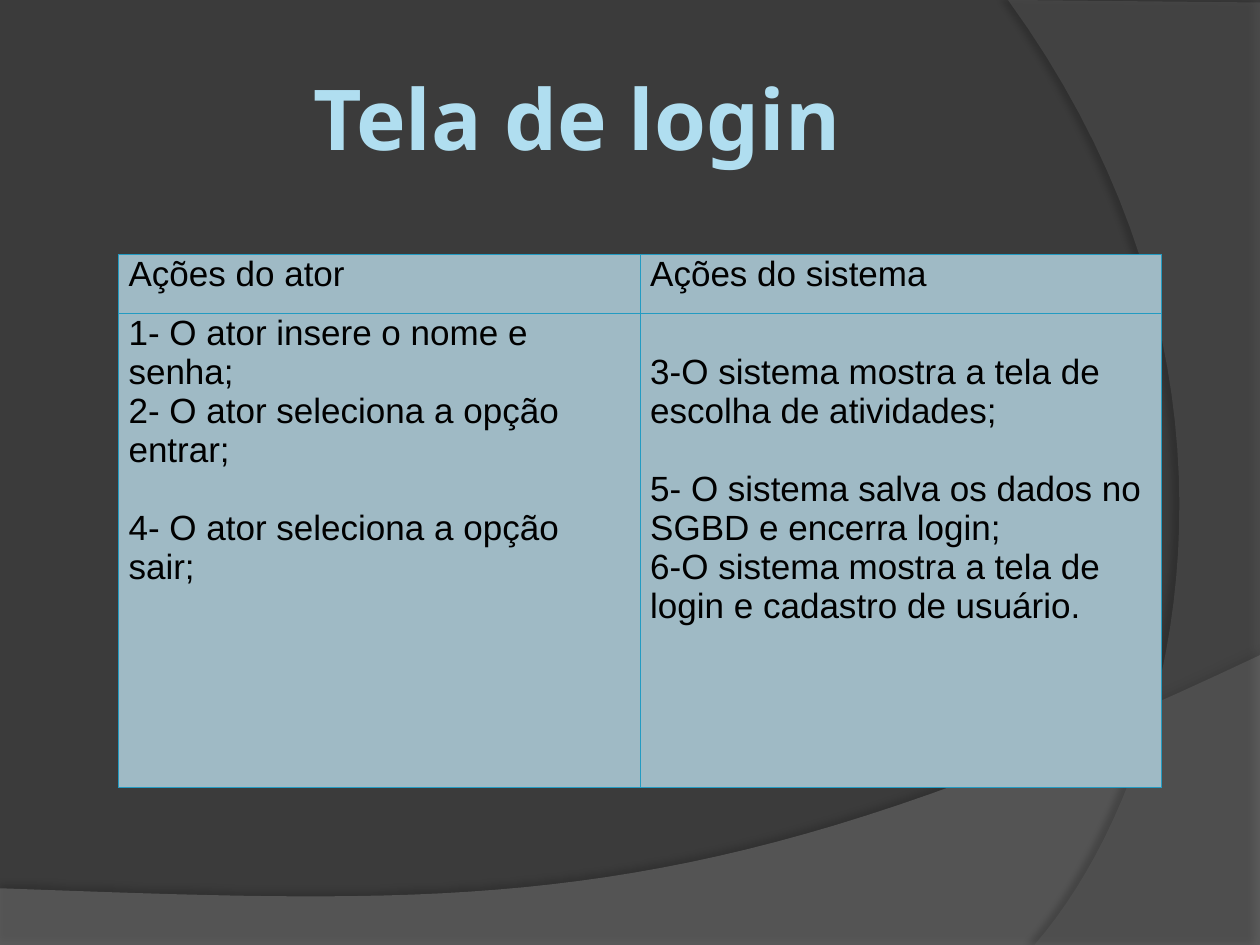
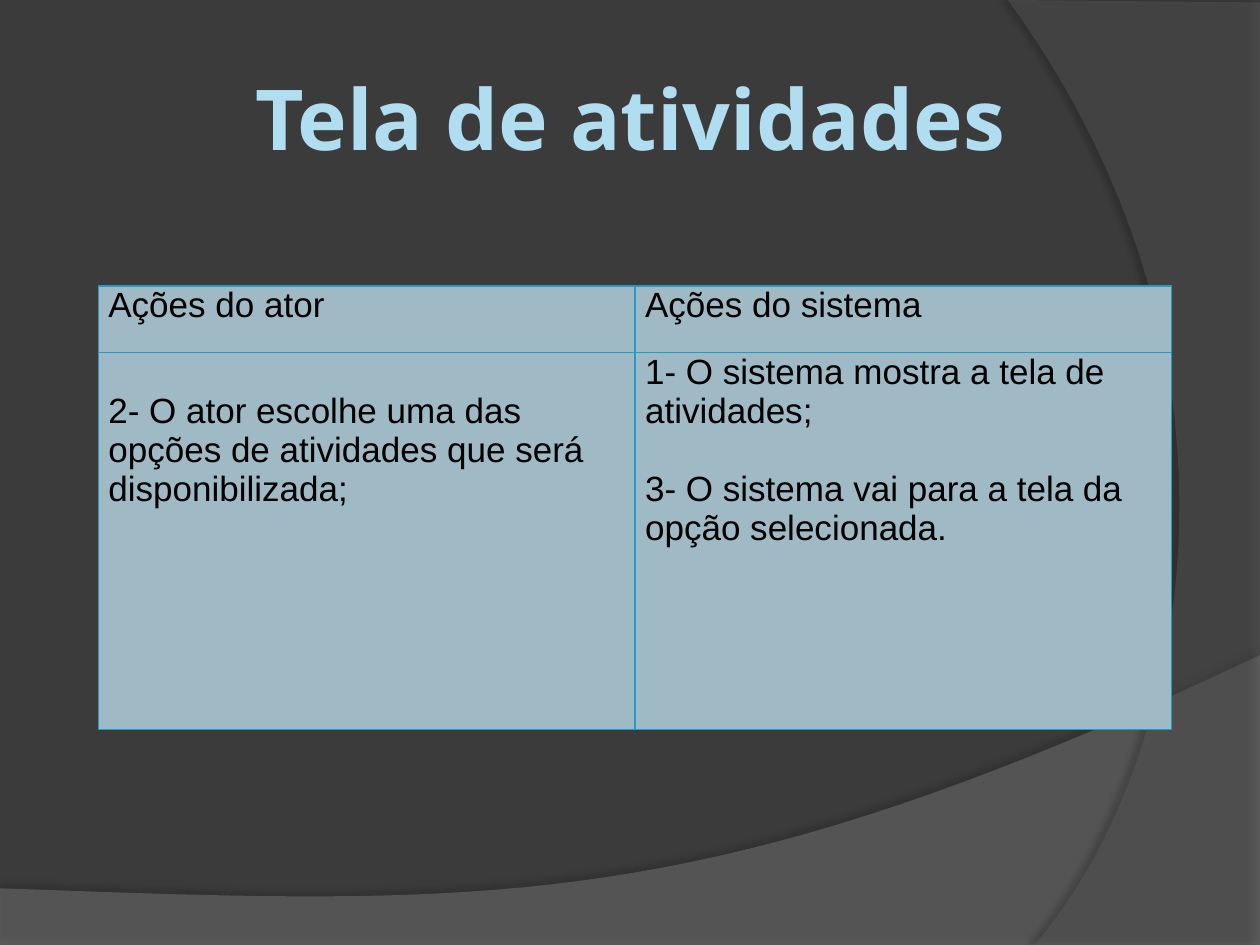
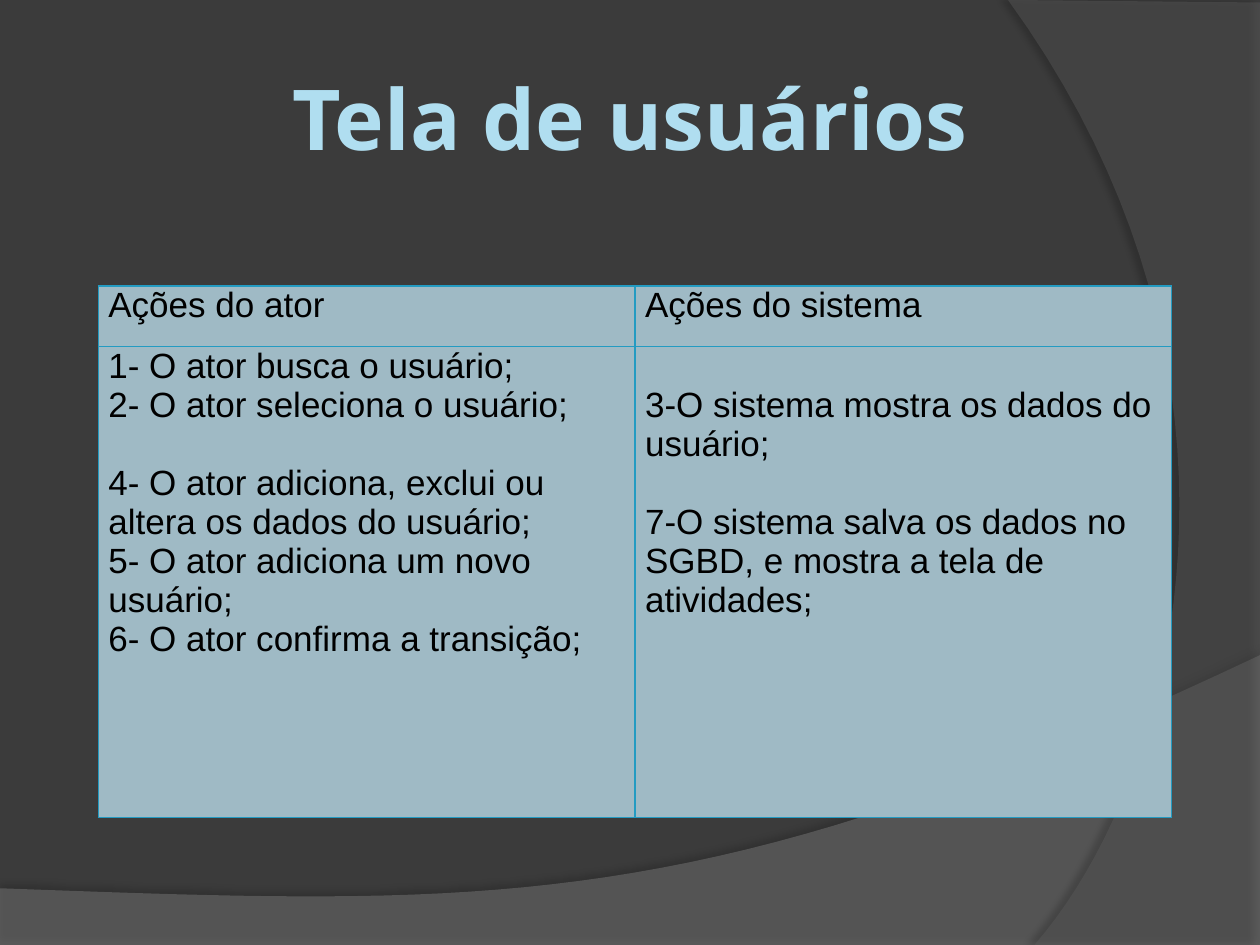
from dataclasses import dataclass

from lxml.etree import SubElement
from pptx import Presentation
from pptx.dml.color import RGBColor
from pptx.enum.text import MSO_ANCHOR, PP_ALIGN
from pptx.oxml.ns import qn
from pptx.util import Inches, Pt


@dataclass(frozen=True)
class Theme:
    background: str = "3B3B3B"
    title: str = "B0DEF0"
    cell: str = "9FBAC5"
    border: str = "239BC2"
    text: str = "000000"
    shadow: str = "000000"
    title_font: str = "Noto Sans"
    body_font: str = "Arial"
    title_size: float = 48
    body_size: float = 20
    step_gap: float = 22.4
    border_width: float = 0.75


@dataclass(frozen=True)
class Band:
    """A curved area; a leg has one end point, or two controls and an end."""
    start: tuple
    legs: tuple
    color: str
    opacity: int
    shadow_opacity: int
    shadow_distance: float
    shadow_angle: int


@dataclass(frozen=True)
class UseCase:
    """A title and its table; box holds left, top and width in percent."""
    title: str
    box: tuple
    rows: tuple
    actor: tuple
    system: tuple
    title_shift: float = 0


THEME = Theme()
WIDTH, HEIGHT = Inches(10), Inches(7.5)
TITLE_BOX = (0, 4, 100, 16.67)
HEADERS = ("Ações do ator", "Ações do sistema")
BANDS = (
    Band((0, 94), (((0, 100),), ((100, 100),), ((100, 69.33),),
                   ((55.9, 97.2), (39.1, 95.87), (0, 94))),
         "7F7F7F", 45, 35, 3.5, 270),
    Band((100, 0.27), (((100, 100),), ((82.1, 100),),
                       ((93.5, 82.53), (101.8, 40), (80, 0))),
         "5E5E5E", 40, 45, 4, 180),
)
USE_CASES = (
    UseCase(
        "Tela de login", (9.4, 26.93, 82.8), (6.27, 50.13),
        ("1- O ator insere o nome e senha;",
         "2- O ator seleciona a opção entrar;",
         "4- O ator seleciona a opção sair;"),
        ("3-O sistema mostra a tela de escolha de atividades;",
         "5- O sistema salva os dados no SGBD e encerra login;",
         "6-O sistema mostra a tela de login e cadastro de usuário."),
        title_shift=8.4),
    UseCase(
        "Tela de atividades", (7.8, 30.27, 85.2), (7.07, 39.87),
        ("2- O ator escolhe uma das opções de atividades que será disponibilizada;",),
        ("1- O sistema mostra a tela de atividades;",
         "3- O sistema vai para a tela da opção selecionada.")),
    UseCase(
        "Tela de usuários", (7.8, 30.27, 85.2), (6.4, 49.87),
        ("1- O ator busca o usuário;",
         "2- O ator seleciona o usuário;",
         "4- O ator adiciona, exclui ou altera os dados do usuário;",
         "5- O ator adiciona um novo usuário;",
         "6- O ator confirma a transição;"),
        ("3-O sistema mostra os dados do usuário;",
         "7-O sistema salva os dados no SGBD, e mostra a tela de atividades;")),
)


def across(percent):
    return round(WIDTH * percent / 100)


def down(percent):
    return round(HEIGHT * percent / 100)


def paint(fill, color):
    fill.solid()
    fill.fore_color.rgb = RGBColor.from_string(color)


def style_runs(para, font, size, color, bold=False):
    for span in para.runs:
        span.font.name = font
        span.font.size = Pt(size)
        span.font.bold = bold
        span.font.color.rgb = RGBColor.from_string(color)


def add_color(parent, color, opacity):
    tone = SubElement(parent, qn("a:srgbClr"), val=color)
    SubElement(tone, qn("a:alpha"), val=str(opacity * 1000))


def curve_points(start, first, second, end, steps=40):
    for step in range(1, steps + 1):
        t = step / steps
        weights = ((1 - t) ** 3, 3 * t * (1 - t) ** 2, 3 * t * t * (1 - t), t ** 3)
        yield tuple(sum(weight * point[axis] for weight, point
                        in zip(weights, (start, first, second, end)))
                    for axis in (0, 1))


def draw_band(page, band):
    points = [band.start]
    for leg in band.legs:
        points += curve_points(points[-1], *leg) if len(leg) == 3 else leg
    places = [(across(x), down(y)) for x, y in points]
    builder = page.shapes.build_freeform(*places[0])
    builder.add_line_segments(places[1:], close=True)
    shape = builder.convert_to_shape()
    paint(shape.fill, band.color)
    shape.line.fill.background()
    shape.shadow.inherit = False
    properties = shape.element.spPr
    tone = properties.find(qn("a:solidFill")).find(qn("a:srgbClr"))
    SubElement(tone, qn("a:alpha"), val=str(band.opacity * 1000))
    shadow = SubElement(
        properties.find(qn("a:effectLst")), qn("a:outerShdw"),
        blurRad=str(Pt(4)), dist=str(Pt(band.shadow_distance)),
        dir=str(band.shadow_angle * 60000), algn="ctr", rotWithShape="0")
    add_color(shadow, THEME.shadow, band.shadow_opacity)
    return shape


def dress_master(deck, page):
    """Give the master its background and bands, drawn by way of a page."""
    master = deck.slide_master
    paint(master.background.fill, THEME.background)
    for index, band in enumerate(BANDS):
        shape = draw_band(page, band)
        shape.element.nvSpPr.cNvPr.set("id", str(20 + index))
        master.shapes.element.insert(2 + index, shape.element)


def fill_title(title, text, box, shift):
    left, top, width, height = box
    title.left, title.top = across(left), down(top)
    title.width, title.height = across(width), down(height)
    frame = title.text_frame
    frame.text = text
    frame.word_wrap = True
    frame.vertical_anchor = MSO_ANCHOR.MIDDLE
    frame.margin_left = frame.margin_top = frame.margin_bottom = Inches(0.05)
    frame.margin_right = Inches(0.05) + across(shift)
    para = frame.paragraphs[0]
    para.alignment = PP_ALIGN.CENTER
    style_runs(para, THEME.title_font, THEME.title_size, THEME.title, bold=True)


def style_cell(cell):
    properties = cell._tc.get_or_add_tcPr()
    for side in ("lnL", "lnR", "lnT", "lnB"):
        line = SubElement(properties, qn(f"a:{side}"), w=str(Pt(THEME.border_width)))
        add_color(SubElement(line, qn("a:solidFill")), THEME.border, 100)
    paint(cell.fill, THEME.cell)
    cell.margin_left, cell.margin_right = Inches(0.08), Inches(0.07)
    cell.margin_top = cell.margin_bottom = 0
    cell.vertical_anchor = MSO_ANCHOR.TOP
    for para in cell.text_frame.paragraphs:
        style_runs(para, THEME.body_font, THEME.body_size, THEME.text)


def space_steps(cell):
    """Leave a line free wherever the other column holds the step between."""
    previous = 0
    for index, para in enumerate(cell.text_frame.paragraphs):
        number = int(para.text.split("-")[0])
        if number != previous + 1:
            if index == 0:
                cell.margin_top = Pt(THEME.step_gap)
            else:
                para.space_before = Pt(THEME.step_gap)
        previous = number


def add_steps_table(page, case):
    left, top, width = case.box
    table = page.shapes.add_table(
        2, 2, across(left), down(top), across(width), down(sum(case.rows))).table
    table.first_row = table.horz_banding = False
    for row, height in zip(table.rows, case.rows):
        row.height = down(height)
    for column, (header, steps) in enumerate(zip(HEADERS, (case.actor, case.system))):
        header_cell, steps_cell = table.cell(0, column), table.cell(1, column)
        header_cell.text_frame.text = header
        steps_cell.text_frame.text = "\n".join(steps)
        style_cell(header_cell)
        style_cell(steps_cell)
        space_steps(steps_cell)


def main():
    deck = Presentation()
    deck.slide_width, deck.slide_height = WIDTH, HEIGHT
    title_only = deck.slide_layouts[5]
    for case in USE_CASES:
        page = deck.slides.add_slide(title_only)
        fill_title(page.shapes.title, case.title, TITLE_BOX, case.title_shift)
        add_steps_table(page, case)
    dress_master(deck, deck.slides[0])
    deck.save("out.pptx")


if __name__ == "__main__":
    main()
